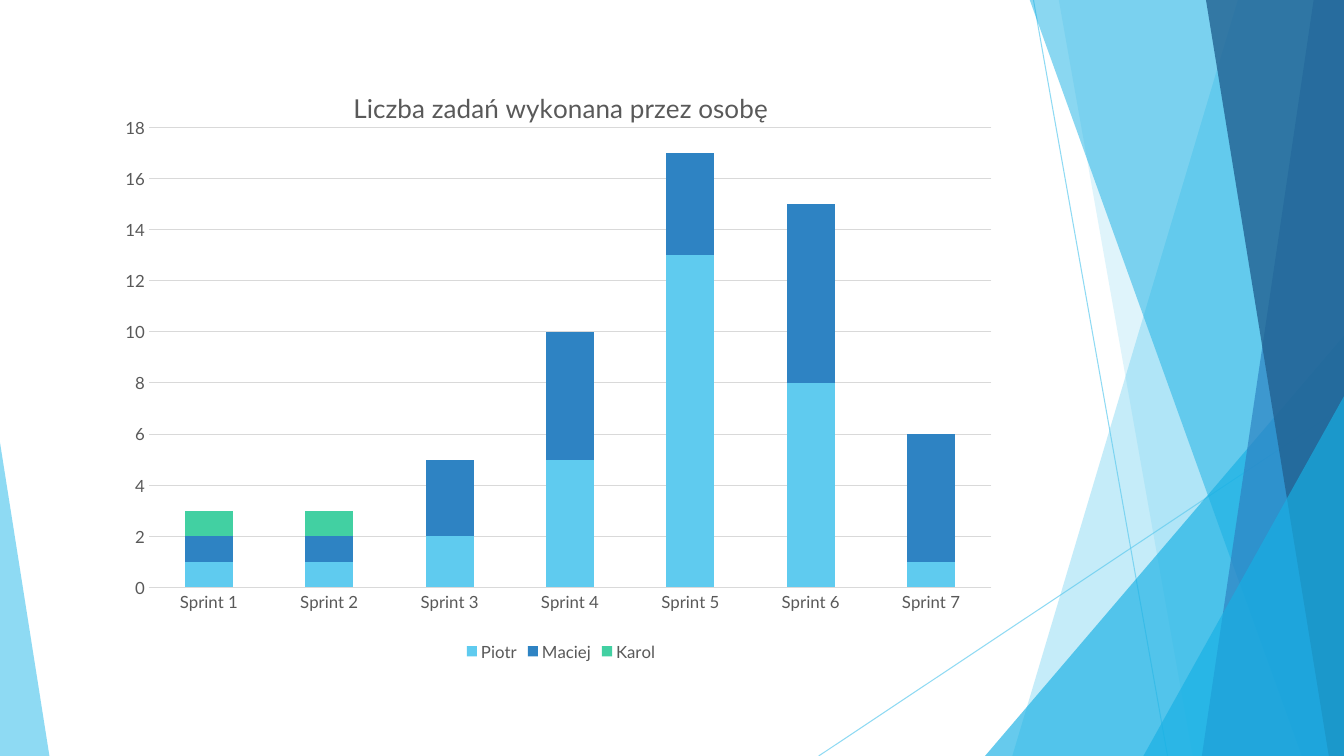
from pptx import Presentation
from pptx.chart.data import CategoryChartData
from pptx.dml.color import RGBColor
from pptx.enum.chart import XL_CHART_TYPE, XL_LEGEND_POSITION, XL_TICK_MARK
from pptx.enum.shapes import MSO_CONNECTOR, MSO_SHAPE
from pptx.oxml import parse_xml
from pptx.oxml.ns import nsdecls, qn
from pptx.oxml.xmlchemy import OxmlElement
from pptx.util import Pt

PX = 9144  # 100 px to the inch
WIDE, HIGH = 1333, 750
FONT = "Lato"
COLORS = {
    "sky": "5FCBEF", "cyan": "17B0E4", "blue": "2E83C3", "navy": "226292",
    "green": "42D0A2", "text": "595959", "grid": "D9D9D9",
}


def paint(fill, name, owner=None, alpha=100):
    fill.solid()
    fill.fore_color.rgb = RGBColor.from_string(COLORS[name])
    if owner is not None:
        for clr in owner._element.spPr.iter(qn("a:srgbClr")):
            node = OxmlElement("a:alpha")
            node.set("val", str(alpha * 1000))
            clr.append(node)


def style(font, size):
    font.name = FONT
    font.size = Pt(size)
    font.bold = False
    paint(font.fill, "text")


prs = Presentation()
prs.slide_width, prs.slide_height = WIDE * PX, HIGH * PX
slide = prs.slides.add_slide(prs.slide_layouts[6])
shapes = slide.shapes

# Thin crossing lines
for ends in [(1025, 0, 1158, HIGH), (WIDE, 403, 812, HIGH)]:
    line = shapes.add_connector(MSO_CONNECTOR.STRAIGHT, *[n * PX for n in ends])
    line.line.width = Pt(0.75)
    paint(line.line.fill, "sky", line, 70)
    line._element.spPr.append(OxmlElement("a:effectLst"))

# Facets, back to front: a band has top and bottom x of its left edge,
# a triangle has left, top, width and apex side
facets = [
    ("band", (1228, 1004), "sky", 36),
    ("band", (1050, 1183), "sky", 20),
    ("tri", (977, 333, 356, 1), "cyan", 66),
    ("band", (1021, 1291), "cyan", 50),
    ("band", (1303, 1192), "blue", 70),
    ("band", (1196, 1318), "navy", 80),
    ("tri", (1134, 393, 199, 1), "cyan", 66),
    ("tri", (0, 439, 49, 0), "sky", 70),
]
for kind, spot, color, alpha in facets:
    if kind == "band":
        top, foot = spot
        form = shapes.build_freeform(top, -1, scale=PX)
        form.add_line_segments([(WIDE, -1), (WIDE, HIGH), (foot, HIGH)])
        facet = form.convert_to_shape()
    else:
        left, top, width, apex = spot
        facet = shapes.add_shape(MSO_SHAPE.ISOSCELES_TRIANGLE, left * PX, top * PX,
                                 width * PX, (HIGH - top) * PX)
        facet.adjustments[0] = apex
    facet.shadow.inherit = False
    facet.line.fill.background()
    paint(facet.fill, color, facet, alpha)

# Chart data
people = [
    ("Piotr", (1, 1, 2, 5, 13, 8, 1), "sky"),
    ("Maciej", (1, 1, 3, 5, 4, 7, 5), "blue"),
    ("Karol", (1, 1, 0, 0, 0, 0, 0), "green"),
]
data = CategoryChartData()
data.categories = [f"Sprint {n}" for n in range(1, 8)]
for name, tasks, _ in people:
    data.add_series(name, tasks)
chart = shapes.add_chart(XL_CHART_TYPE.COLUMN_STACKED, 112 * PX, 67 * PX,
                         889 * PX, 593 * PX, data).chart
style(chart.font, 12)

# Title and legend
chart.has_title = True
title = chart.chart_title.text_frame
title.text = "Liczba zadań wykonana przez osobę"
style(title.paragraphs[0].runs[0].font, 18.6)
chart.has_legend = True
chart.legend.position = XL_LEGEND_POSITION.BOTTOM
chart.legend.include_in_layout = False
style(chart.legend.font, 12)

# Columns
plot = chart.plots[0]
plot.gap_width, plot.overlap = 150, 100
plot.vary_by_categories = False
for bar, (_, _, color) in zip(plot.series, people):
    paint(bar.format.fill, color)

# Axes
rows, cols = chart.value_axis, chart.category_axis
for axis in (rows, cols):
    axis.major_tick_mark = axis.minor_tick_mark = XL_TICK_MARK.NONE
    style(axis.tick_labels.font, 12)
rows.minimum_scale, rows.maximum_scale, rows.major_unit = 0, 18, 2
rows.format.line.fill.background()
rows.has_major_gridlines = True
for rule in (rows.major_gridlines.format.line, cols.format.line):
    rule.width = Pt(0.75)
    paint(rule.fill, "grid")

# Plot area
area = chart._chartSpace.chart.plotArea
for old in area.findall(qn("c:layout")):
    area.remove(old)
place = "".join(f'<c:{key} val="{val}"/>' for key, val in [
    ("layoutTarget", "inner"), ("xMode", "edge"), ("yMode", "edge"),
    ("x", 0.04), ("y", 0.1), ("w", 0.94), ("h", 0.77)])
area.insert(0, parse_xml(f'<c:layout {nsdecls("c")}><c:manualLayout>{place}'
                         '</c:manualLayout></c:layout>'))

prs.save("out.pptx")
